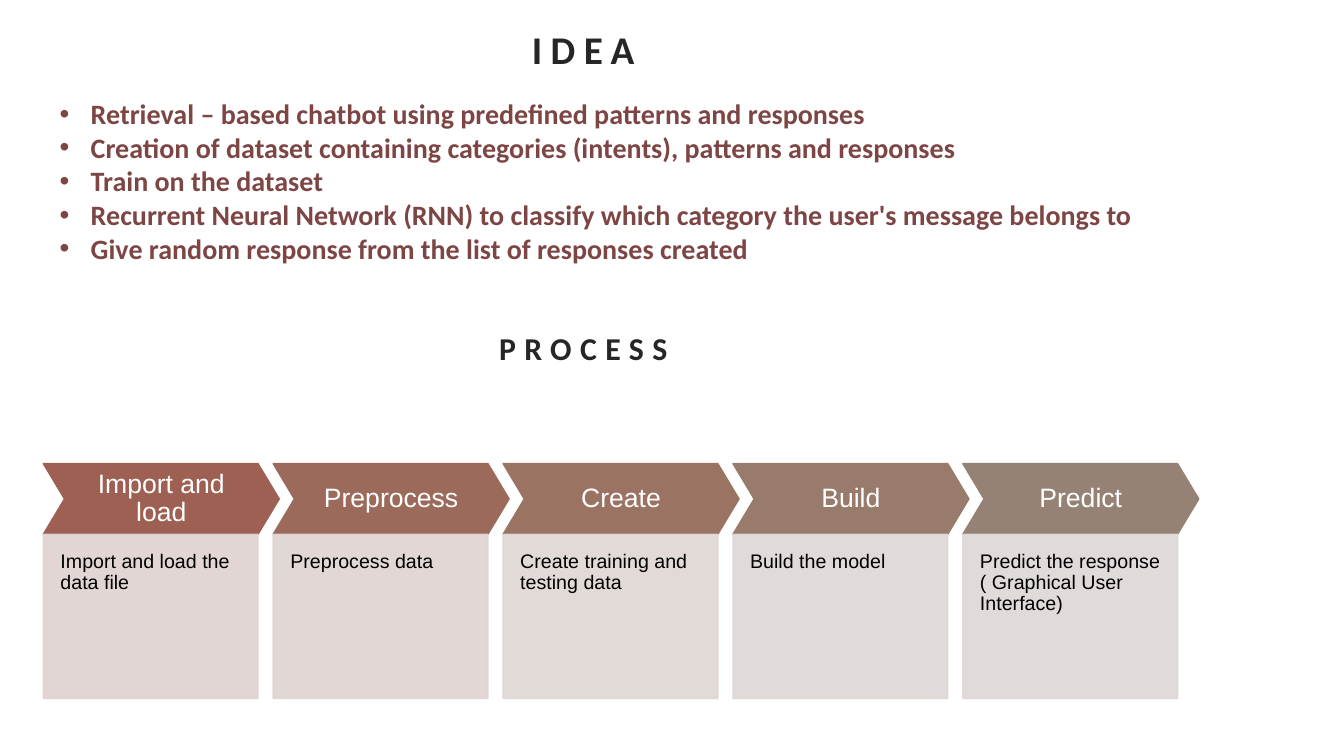
from lxml import etree
from pptx import Presentation
from pptx import util as u
from pptx.dml.color import RGBColor
from pptx.enum import shapes, text
from pptx.oxml import ns

HEADING_COLOR, IDEA_COLOR = "262626", "7E4545"
IDEAS = [
    "Retrieval – based chatbot using predefined patterns and responses",
    "Creation of dataset containing categories (intents), patterns and responses",
    "Train on the dataset",
    "Recurrent Neural Network (RNN) to classify which category the user's message belongs to",
    "Give random response from the list of responses created",
]
STEPS = [
    ("Import and load", "Import and load the data file", "9D6053", "DFD2D1"),
    ("Preprocess", "Preprocess data", "9C6A5A", "DED4D2"),
    ("Create", "Create training and testing data", "9B7362", "DED6D3"),
    ("Build", "Build the model", "987B6B", "DDD7D4"),
    ("Predict", "Predict the response ( Graphical User Interface)", "968274", "DDD8D6"),
]
WIDTH, HEIGHT = 13.33, 7.5
HEAD_LEFT, HEAD_WIDTH = 0.42, 10.73
STEP_LEFT, STEP_PITCH = 0.43, 2.28
ARROW_TOP, ARROW_WIDTH, ARROW_HEIGHT = 4.6, 2.34, 0.7
CARD_WIDTH, CARD_HEIGHT = 2.13, 1.63


def color(value):
    return RGBColor.from_string(value)


def place(item, left, top, width, height):
    item.left, item.top = u.Inches(left), u.Inches(top)
    item.width, item.height = u.Inches(width), u.Inches(height)


def add_span(para, words, size, font, ink, bold=False):
    span = para.add_run()
    span.text = words
    span.font.size, span.font.name, span.font.bold = u.Pt(size), font, bold
    span.font.color.rgb = color(ink)
    return span


def set_frame(box, anchor, insets):
    frame = box.text_frame
    frame.word_wrap, frame.auto_size = True, text.MSO_AUTO_SIZE.NONE
    frame.vertical_anchor = anchor
    frame.margin_left, frame.margin_top, frame.margin_right, frame.margin_bottom = (
        u.Inches(inset) for inset in insets)
    return frame


def add_heading(box, words, top, height, size):
    place(box, HEAD_LEFT, top, HEAD_WIDTH, height)
    para = set_frame(box, text.MSO_ANCHOR.MIDDLE, (0.1, 0.05, 0.1, 0.05)).paragraphs[0]
    para.alignment, para.line_spacing = text.PP_ALIGN.CENTER, 1.1
    span = add_span(para, words, size, "Calibri", HEADING_COLOR, True)
    span.font._element.set("spc", "600")


def add_bullet(para, ink):
    props = para._p.get_or_add_pPr()
    props.set("marL", str(u.Inches(0.31)))
    props.set("indent", str(-u.Inches(0.31)))
    tint = etree.SubElement(props, ns.qn("a:buClr"))
    etree.SubElement(tint, ns.qn("a:srgbClr"), val=ink)
    etree.SubElement(props, ns.qn("a:buFont"), typeface="Arial")
    etree.SubElement(props, ns.qn("a:buChar"), char="•")


def add_block(page, kind, bounds, fill, words, size, ink, anchor, align, insets):
    block = page.shapes.add_shape(kind, 0, 0, 0, 0)
    place(block, *bounds)
    block.shadow.inherit = False
    block.fill.solid()
    block.fill.fore_color.rgb = block.line.color.rgb = color(fill)
    block.line.width = u.Pt(1)
    para = set_frame(block, anchor, insets).paragraphs[0]
    para.alignment, para.line_spacing = align, 0.9
    add_span(para, words, size, "Arial", ink)
    return block


def main():
    deck = Presentation()
    deck.slide_width, deck.slide_height = u.Inches(WIDTH), u.Inches(HEIGHT)
    page = deck.slides.add_slide(deck.slide_layouts[1])
    add_heading(page.shapes.title, "IDEA", 0.09, 0.74, 28)

    body = page.placeholders[1]
    place(body, 0.49, 0.91, 11.47, 2.73)
    frame = set_frame(body, text.MSO_ANCHOR.TOP, (0.1, 0.05, 0.1, 0.05))
    for index, idea in enumerate(IDEAS):
        para = frame.add_paragraph() if index else frame.paragraphs[0]
        para.line_spacing, para.space_before = 1.0, u.Pt(0)
        add_bullet(para, IDEA_COLOR)
        add_span(para, idea, 20, "Calibri", IDEA_COLOR, True)

    add_heading(page.shapes.add_textbox(0, 0, 0, 0), "PROCESS", 3.12, 0.63, 22.7)

    for index, (name, detail, dark, pale) in enumerate(STEPS):
        left = STEP_LEFT + index * STEP_PITCH
        arrow = add_block(
            page, shapes.MSO_SHAPE.CHEVRON, (left, ARROW_TOP, ARROW_WIDTH, ARROW_HEIGHT),
            dark, name, 19, "FFFFFF", text.MSO_ANCHOR.MIDDLE, text.PP_ALIGN.CENTER, [0.09] * 4)
        arrow.adjustments[0] = 0.3
        card = add_block(
            page, shapes.MSO_SHAPE.RECTANGLE,
            (left, ARROW_TOP + ARROW_HEIGHT, CARD_WIDTH, CARD_HEIGHT),
            pale, detail, 14, "000000", text.MSO_ANCHOR.TOP, text.PP_ALIGN.LEFT,
            (0.17, 0.17, 0.17, 0.34))
        for tint in card._element.spPr.iter(ns.qn("a:srgbClr")):
            etree.SubElement(tint, ns.qn("a:alpha"), val="90000")

    deck.save("out.pptx")


if __name__ == "__main__":
    main()
